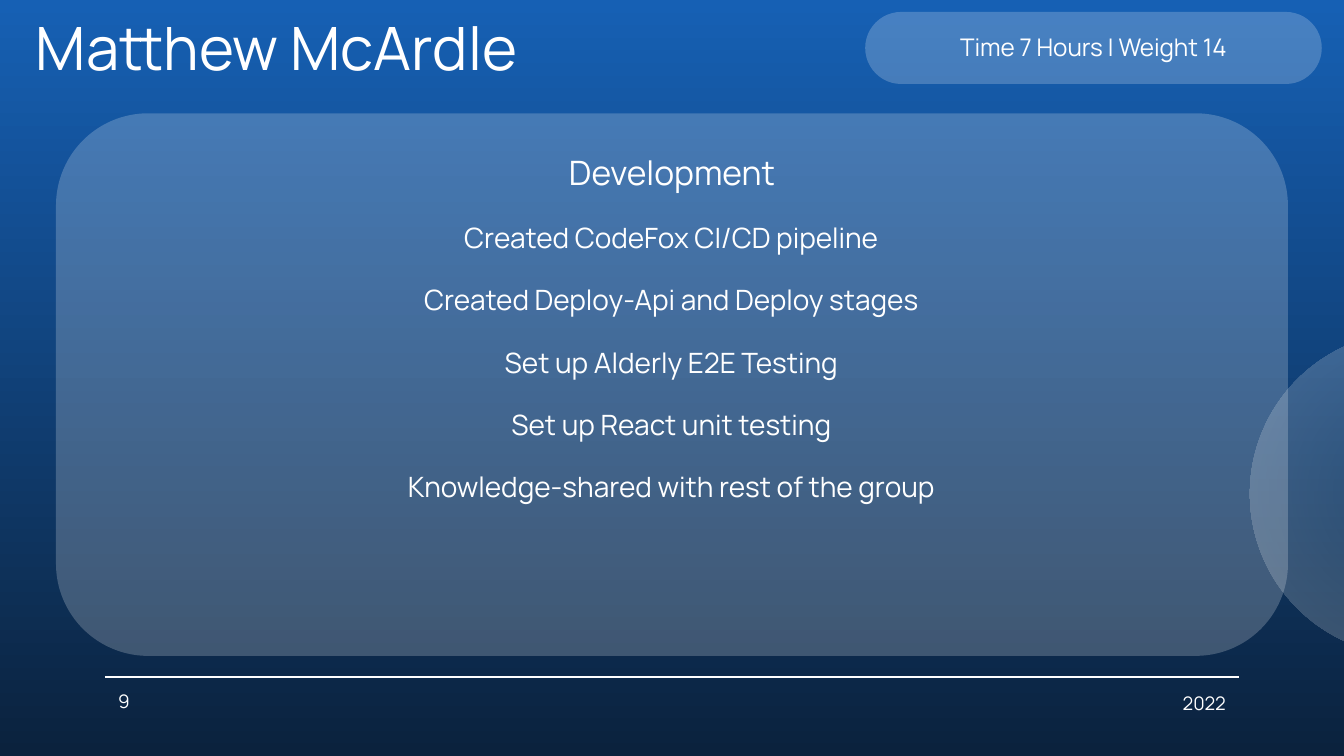
from lxml import etree
from pptx import Presentation
from pptx.dml.color import RGBColor
from pptx.enum.shapes import MSO_CONNECTOR, MSO_SHAPE
from pptx.enum.text import MSO_ANCHOR, PP_ALIGN
from pptx.oxml.ns import qn
from pptx.util import Pt

STRAIGHT = MSO_CONNECTOR.STRAIGHT
ELLIPSE, ROUNDED = MSO_SHAPE.OVAL, MSO_SHAPE.ROUNDED_RECTANGLE
TOP, MIDDLE = MSO_ANCHOR.TOP, MSO_ANCHOR.MIDDLE
LEFT, CENTER, RIGHT = PP_ALIGN.LEFT, PP_ALIGN.CENTER, PP_ALIGN.RIGHT

WHITE = RGBColor(0xFF, 0xFF, 0xFF)
BRIGHT_BLUE = RGBColor(0x16, 0x60, 0xB4)
NAVY = RGBColor(0x0B, 0x22, 0x3D)
MIST = RGBColor(0x86, 0x9F, 0xB1)

TASKS = [
    "Created CodeFox CI/CD pipeline",
    "Created Deploy-Api and Deploy stages",
    "Set up Alderly E2E Testing",
    "Set up React unit testing",
    "Knowledge-shared with rest of the group",
]


class SlideBuilder:
    font = "Manrope"
    ink = WHITE
    inset = Pt(7.2)
    opacity = 21

    def __init__(self, slide):
        self.slide = slide

    def blend(self, fill, colors):
        fill.gradient()
        for stop, color in zip(fill.gradient_stops, colors):
            stop.color.rgb = color

    def background(self, *colors):
        fill = self.slide.background.fill
        self.blend(fill, colors)
        fill.gradient_angle = 270

    def shape(self, kind, left, top, width, height):
        shape = self.slide.shapes.add_shape(kind, Pt(left), Pt(top), Pt(width), Pt(height))
        shape.shadow.inherit = False
        shape.line.fill.background()
        return shape

    def make_translucent(self, shape):
        for color in shape.fill._xPr.iter(qn("a:srgbClr")):
            etree.SubElement(color, qn("a:alpha"), val=str(self.opacity * 1000))

    def panel(self, left, top, width, height, rounding):
        panel = self.shape(ROUNDED, left, top, width, height)
        panel.adjustments[0] = rounding
        panel.fill.solid()
        panel.fill.fore_color.rgb = WHITE
        self.make_translucent(panel)

    def glow(self, left, top, size, *colors):
        glow = self.shape(ELLIPSE, left, top, size, size)
        self.blend(glow.fill, colors)
        self.make_translucent(glow)
        gradient = glow._element.spPr.find(qn("a:gradFill"))
        gradient.remove(gradient.find(qn("a:lin")))
        radial = etree.SubElement(gradient, qn("a:path"), path="circle")
        etree.SubElement(radial, qn("a:fillToRect"), l="50000", t="50000", r="50000", b="50000")

    def rule(self, left, right, y):
        rule = self.slide.shapes.add_connector(STRAIGHT, Pt(left), Pt(y), Pt(right), Pt(y))
        rule.line.color.rgb = self.ink
        rule.line.width = Pt(0.75)
        etree.SubElement(rule._element.spPr, qn("a:effectLst"))

    def text(self, words, left, top, width, height, size, align=LEFT, anchor=MIDDLE, gap=0):
        box = self.slide.shapes.add_textbox(Pt(left), Pt(top), Pt(width), Pt(height))
        frame = box.text_frame
        frame.word_wrap = True
        frame.vertical_anchor = anchor
        frame.margin_left = frame.margin_right = self.inset
        frame.margin_top = frame.margin_bottom = self.inset
        frame.text = words
        for para in frame.paragraphs:
            para.alignment = align
            para.space_after = Pt(gap)
            for span in para.runs:
                span.font.name = self.font
                span.font.size = Pt(size)
                span.font.color.rgb = self.ink


def main():
    deck = Presentation()
    deck.slide_width, deck.slide_height = Pt(720), Pt(405)
    page = SlideBuilder(deck.slides.add_slide(deck.slide_layouts[6]))

    page.background(BRIGHT_BLUE, NAVY)
    page.rule(56.25, 663.75, 362.8)
    page.glow(669.6, 177.8, 173.5, MIST, WHITE)

    page.panel(30, 60.7, 660, 290.7, 0.17)
    page.text("Development", 220.3, 73.4, 279.4, 37.4, 18, CENTER)
    page.text("\n".join(TASKS), 64, 110.9, 591.4, 245.5, 15, CENTER, TOP, gap=15.4)

    page.text("Matthew McArdle", 12.2, 5, 607.7, 40.3, 32)
    page.panel(463.5, 6.4, 244.6, 38.6, 0.5)
    page.text("Time 7 Hours | Weight 14", 468.7, 12.2, 234, 25.9, 13, CENTER)

    page.text("9", 56.25, 363.6, 36, 24.5, 10)
    page.text("2022", 577.4, 364.3, 86.4, 24.5, 10, RIGHT)
    deck.save("out.pptx")


if __name__ == "__main__":
    main()
